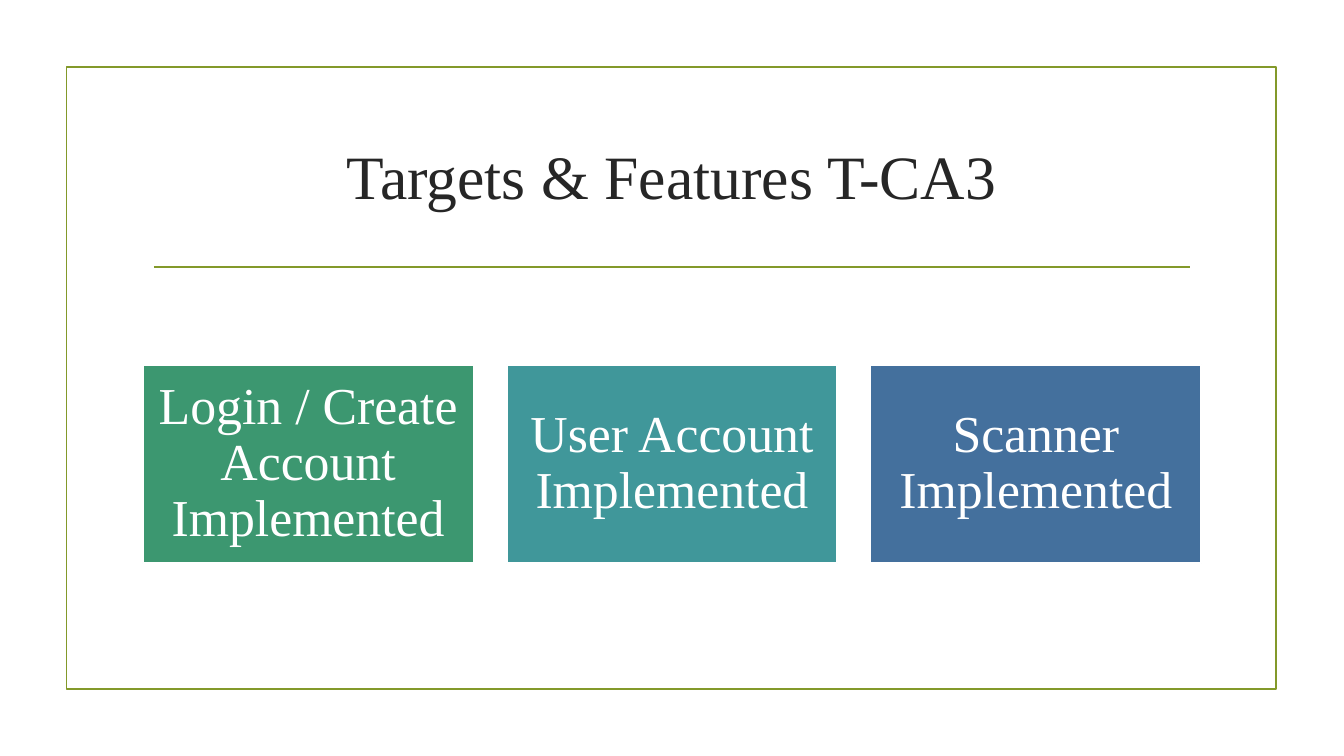
from pptx import Presentation
from pptx.dml.color import RGBColor
from pptx.enum import shapes, text
from pptx.util import Pt
from lxml import etree

TITLE = "Targets & Features T-CA3"
CARDS = [
    ("Login / Create Account Implemented", "green"),
    ("User Account Implemented", "teal"),
    ("Scanner Implemented", "blue"),
]
COLORS = {"olive": "83992A", "ink": "262626", "white": "FFFFFF",
          "green": "3C9770", "teal": "40979A", "blue": "44709D"}
FONT = "Times New Roman"
WIDE, HIGH = 960, 540
FRAME = (47.5, 48, 864, 444)
HEAD = (102, 77, 756, 103)
RULE = (110, 850, 190.8)
LEFT, TOP, CARD_W, CARD_H, STEP = 102, 260.6, 236.2, 141.8, 259.9


def color(name):
    return RGBColor.from_string(COLORS[name])


def outline(line, name):
    line.color.rgb = color(name)
    line.width = Pt(1.25)


def box(slide, place, fill, edge):
    shape = slide.shapes.add_shape(shapes.MSO_SHAPE.RECTANGLE, *map(Pt, place))
    shape.shadow.inherit = False
    if fill:
        shape.fill.solid()
        shape.fill.fore_color.rgb = color(fill)
    else:
        shape.fill.background()
    outline(shape.line, edge)
    return shape


def write(shape, words, size, ink, inset, space):
    frame = shape.text_frame
    frame.text = words
    form = {"word_wrap": True, "auto_size": text.MSO_AUTO_SIZE.NONE,
            "vertical_anchor": text.MSO_ANCHOR.MIDDLE}
    for side in ("left", "top", "right", "bottom"):
        form["margin_" + side] = Pt(inset)
    for key, value in form.items():
        setattr(frame, key, value)
    para = frame.paragraphs[0]
    para.alignment = text.PP_ALIGN.CENTER
    para.line_spacing = space
    font = para.runs[0].font
    for key, value in {"name": FONT, "size": Pt(size), "bold": False}.items():
        setattr(font, key, value)
    font.color.rgb = color(ink)


def main():
    deck = Presentation()
    deck.slide_width, deck.slide_height = Pt(WIDE), Pt(HIGH)
    slide = deck.slides.add_slide(deck.slide_layouts[5])

    title = slide.shapes.title
    for key, value in zip(("left", "top", "width", "height"), HEAD):
        setattr(title, key, Pt(value))
    write(title, TITLE, 44, "ink", 5, 0.9)

    box(slide, FRAME, None, "olive")
    start, end, level = map(Pt, RULE)
    rule = slide.shapes.add_connector(
        shapes.MSO_CONNECTOR.STRAIGHT, start, level, end, level)
    outline(rule.line, "olive")
    space = rule.element.spPr.nsmap["a"]
    etree.SubElement(rule.element.spPr, f"{{{space}}}effectLst")

    for i, (words, fill) in enumerate(CARDS):
        card = box(slide, (LEFT + i * STEP, TOP, CARD_W, CARD_H), fill, "white")
        write(card, words, 37, "white", 10, 0.9)

    deck.save("out.pptx")


if __name__ == "__main__":
    main()
